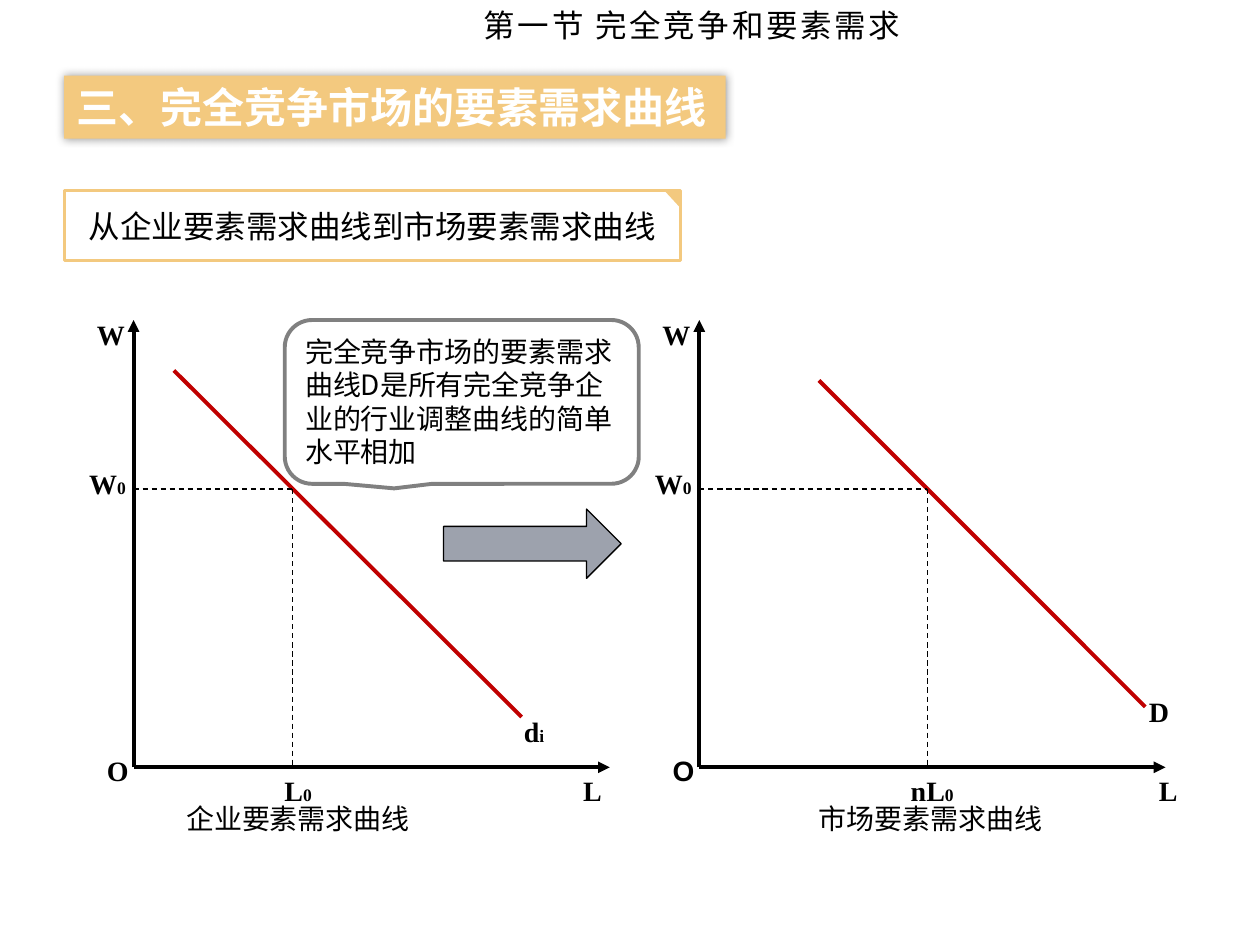
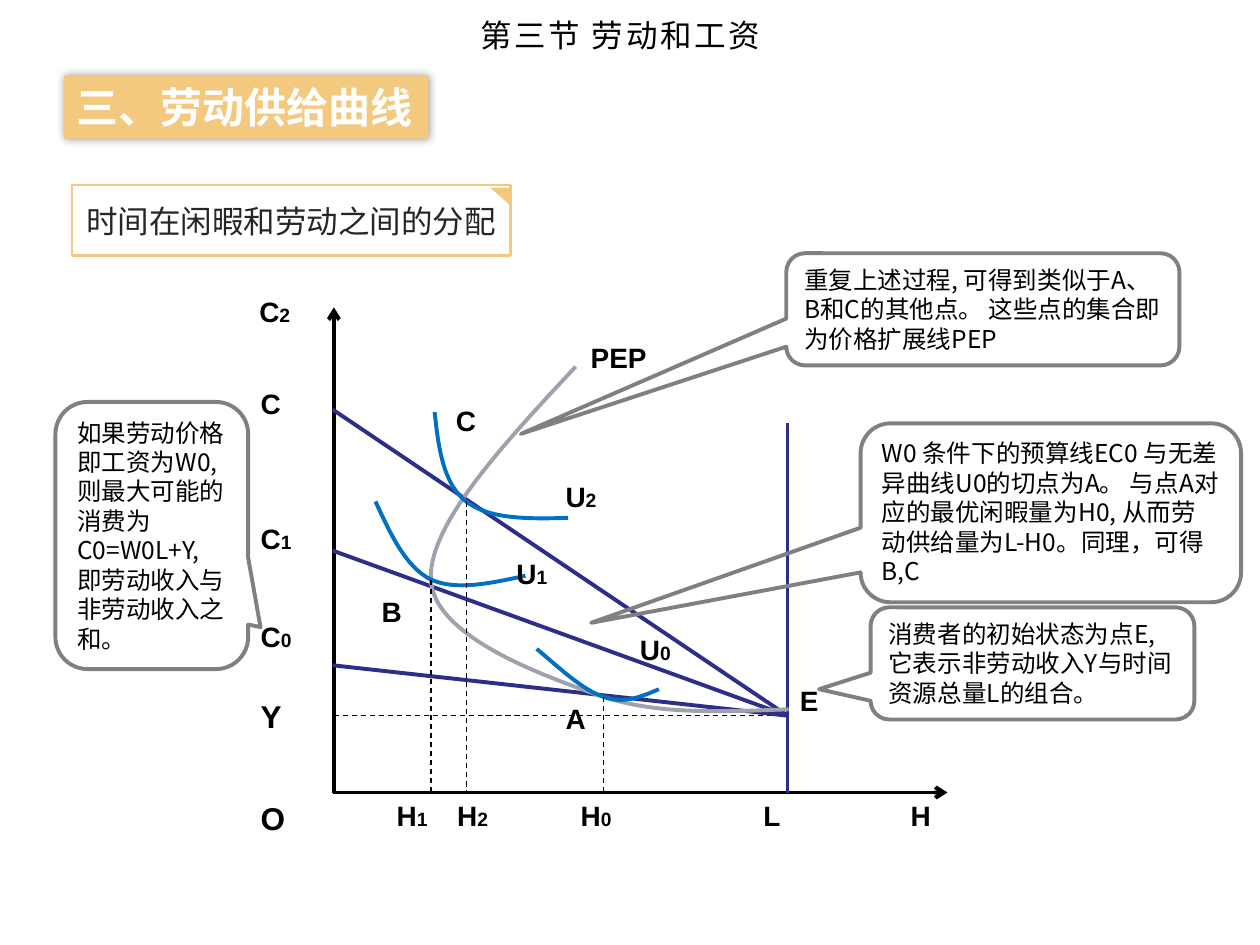
from lxml.etree import SubElement
from pptx import Presentation
from pptx.dml.color import RGBColor
from pptx.enum.dml import MSO_LINE
from pptx.enum.shapes import MSO_CONNECTOR, MSO_SHAPE
from pptx.enum.text import MSO_ANCHOR, PP_ALIGN
from pptx.oxml.ns import qn
from pptx.util import Inches, Pt

HUES = {
    "ink": "000000", "soft": "262626", "white": "FFFFFF", "gold": "F3C97F",
    "edge": "808080", "red": "C00000", "navy": "2D2D8A", "blue": "0070C0",
    "steel": "9DA2AD",
}
HAN, SERIF, SANS = "Noto Sans CJK SC", "Times New Roman", "Arial"


def hue(name):
    """Return the named colour."""
    return RGBColor.from_string(HUES[name])


def write(shape, text, sub="", size=16, low=10, font=HAN, color="ink", bold=False,
          align=PP_ALIGN.LEFT, anchor=MSO_ANCHOR.TOP, wrap=True, inset=None, track=0):
    """Put formatted text, with an optional small index, in a shape."""
    frame = shape.text_frame
    frame.word_wrap, frame.vertical_anchor = wrap, anchor
    if inset is not None:
        frame.margin_left = frame.margin_right = Inches(inset)
        frame.margin_top = frame.margin_bottom = Inches(inset)
    line = frame.paragraphs[0]
    line.alignment = align
    for part, points in ((text, size), (sub, low)):
        if part:
            run = line.add_run()
            run.text = part
            run.font.size, run.font.bold = Pt(points), bold
            run.font.color.rgb = hue(color)
            run.font.name = font
            props = run.font._element
            SubElement(props, qn("a:ea")).set("typeface", font)
            if track:
                props.set("spc", str(round(track * 100)))


def label(slide, x, y, text, sub="", wide=0.9, bold=True, font=SANS, **form):
    """Add a text box with its corner at x, y."""
    box = slide.shapes.add_textbox(*map(Inches, (x, y, wide, 0.37)))
    write(box, text, sub, bold=bold, font=font, **form)


def shape(slide, kind, box, fill=None, line=None, width=1.5):
    """Add a flat preset shape."""
    item = slide.shapes.add_shape(kind, *map(Inches, box))
    item.shadow.inherit = False
    if fill:
        item.fill.solid()
        item.fill.fore_color.rgb = hue(fill)
    else:
        item.fill.background()
    if line:
        item.line.color.rgb = hue(line)
        item.line.width = Pt(width)
    else:
        item.line.fill.background()
    return item


def rule(slide, start, end, color="ink", width=2.25, dash=False, head=None):
    """Draw a straight line, dashed or with an arrowhead."""
    link = slide.shapes.add_connector(MSO_CONNECTOR.STRAIGHT, *map(Inches, start + end))
    link.line.color.rgb = hue(color)
    link.line.width = Pt(0.75 if dash else width)
    if dash:
        link.line.dash_style = MSO_LINE.DASH
    if head:
        SubElement(link.line._get_or_add_ln(), qn("a:tailEnd")).set("type", head)
    SubElement(link._element.spPr, qn("a:effectLst"))


def curve(slide, points, color):
    """Draw a smooth cubic curve through start, control and end points."""
    dots = [(Inches(x), Inches(y)) for x, y in points]
    pen = slide.shapes.build_freeform(*dots[0], scale=1.0)
    pen.add_line_segments(dots[1:], close=False)
    item = pen.convert_to_shape()
    item.shadow.inherit = False
    item.fill.background()
    item.line.color.rgb = hue(color)
    item.line.width = Pt(2.25)
    trace = item._element.find(".//" + qn("a:path"))
    steps = trace.findall(qn("a:lnTo"))
    for i in range(0, len(steps), 3):
        bend = SubElement(trace, qn("a:cubicBezTo"))
        for step in steps[i:i + 3]:
            bend.append(step[0])
            trace.remove(step)


def callout(slide, box, tip, text, size=14):
    """Add a rounded speech bubble pointing at tip."""
    item = shape(slide, MSO_SHAPE.ROUNDED_RECTANGULAR_CALLOUT, box, line="edge", width=2.25)
    for i, value in enumerate((*tip, 0.167)):
        item.adjustments[i] = value
    write(item, text, size=size)


def title(slide, box, text):
    """Fill the title placeholder."""
    head = slide.shapes.title
    head.left, head.top, head.width, head.height = map(Inches, box)
    write(head, text, size=18, anchor=MSO_ANCHOR.MIDDLE, inset=0, track=1.5)


def band(slide, box, text):
    """Add the gold heading band with its soft shadow."""
    item = shape(slide, MSO_SHAPE.RECTANGLE, box, "gold")
    glow = SubElement(item._element.spPr.find(qn("a:effectLst")), qn("a:outerShdw"))
    glow.set("blurRad", str(Pt(5)))
    tone = SubElement(glow, qn("a:srgbClr"))
    tone.set("val", HUES["ink"])
    SubElement(tone, qn("a:alpha")).set("val", "40000")
    write(item, text, size=24, color="white", bold=True, wrap=False)


def note(slide, box, fold, text, color="ink"):
    """Add the framed topic with a folded corner of the given width and drop."""
    x, y, w, h = box
    wide, drop = fold
    item = shape(slide, MSO_SHAPE.RECTANGLE, box, "white", "gold")
    write(item, text, size=18, color=color, align=PP_ALIGN.CENTER,
          anchor=MSO_ANCHOR.MIDDLE, inset=0)
    flap = shape(slide, MSO_SHAPE.RIGHT_TRIANGLE, (x + w - wide, y + drop, wide, 0.14), "gold")
    flap.rotation = 180


def demand(slide, box, start, end, level, names, spots, zero):
    """Draw one demand graph inside its axes box."""
    x, y, w, h = box
    base, mid, high = y + h, x + level, y + 1.34
    rule(slide, (x, base), (x, y), head="triangle")
    rule(slide, (x, base), (x + w, base), head="triangle")
    rule(slide, (x + start[0], y + start[1]), (x + end[0], y + end[1]), "red")
    rule(slide, (x, high), (mid, high), dash=True)
    rule(slide, (mid, high), (mid, base), dash=True)
    label(slide, x - 0.39, y - 0.07, "W", font=SERIF)
    label(slide, x - 0.31, base - 0.16, "O", font=zero)
    label(slide, x - 0.45, y + 1.11, "W", "0", font=SERIF)
    amount, line, index, caption = names
    far, side, tag, foot = spots
    label(slide, x + far, base, "L", font=SERIF)
    label(slide, mid - side, base, amount, "0", font=SERIF)
    label(slide, x + tag[0], y + tag[1], line, index, font=SERIF)
    label(slide, x + foot, base + 0.22, caption, wide=2.01, font=HAN, bold=False, wrap=False)


def market(slide):
    """Build the slide on market demand for a factor."""
    title(slide, (3.84, 0, 5.8, 0.4), "第一节 完全竞争和要素需求")
    callout(slide, (2.26, 2.54, 2.81, 1.3), (-0.191, 0.528),
            "完全竞争市场的要素需求曲线D是所有完全竞争企业的行业调整曲线的简单水平相加", 16)
    demand(slide, (1.06, 2.54, 3.78, 3.55), (0.32, 0.4), (3.08, 3.15), 1.26,
           ("L", "d", "i", "企业要素需求曲线"), (3.47, 0.16, (3, 3.08), 0.32), SERIF)
    demand(slide, (5.55, 2.54, 3.7, 3.55), (0.95, 0.48), (3.54, 3.07), 1.81,
           ("nL", "D", "", "市场要素需求曲线"), (3.55, 0.23, (3.47, 2.92), 0.85), SANS)
    shape(slide, MSO_SHAPE.RIGHT_ARROW, (3.52, 4.04, 1.41, 0.55), "steel", "ink", 0.75)
    band(slide, (0.51, 0.6, 5.25, 0.5), "三、完全竞争市场的要素需求曲线")
    note(slide, (0.51, 1.51, 4.89, 0.56), (0.13, 0), "从企业要素需求曲线到市场要素需求曲线")


def choice(slide, box):
    """Draw the leisure and consumption graph inside its axes box."""
    x, y, w, h = box
    base = y + h

    def at(*dots):
        """Shift points from the axes box to the slide."""
        return [(x + a, y + b) for a, b in dots]

    rule(slide, (x, base), (x, y), head="arrow")
    rule(slide, (x - 0.01, base), (x + w, base), head="arrow")
    limit, floor = x + 3.6, y + 3.24
    rule(slide, (limit, y + 0.92), (limit, base), "navy")
    rule(slide, (x, floor), (limit, floor), dash=True)
    for top in (0.81, 1.93, 2.84):
        rule(slide, (x - 0.01, y + top), (limit, floor), "navy")
    curve(slide, at((1.92, 0.47), (1.33, 1.1), (0.75, 1.73), (0.77, 2.16), (0.79, 2.59),
                    (1.57, 2.89), (2.05, 3.06), (2.52, 3.24), (3.07, 3.21), (3.61, 3.19)), "steel")
    for dots in (
        ((0.8, 0.83), (0.83, 1.12), (0.87, 1.4), (1.05, 1.54), (1.23, 1.68), (1.54, 1.68), (1.86, 1.67)),
        ((0.33, 1.54), (0.45, 1.8), (0.57, 2.06), (0.77, 2.16), (0.97, 2.25), (1.24, 2.19), (1.52, 2.13)),
        ((1.61, 2.71), (1.8, 2.87), (1.98, 3.04), (2.14, 3.09), (2.3, 3.15), (2.44, 3.09), (2.58, 3.03)),
    ):
        curve(slide, at(*dots), "blue")
    for a, b in at((2.14, 3.09), (1.05, 1.54), (0.77, 2.16)):
        rule(slide, (a, b), (a, base), dash=True)
    for a, b, text, sub in (
        (-0.69, -0.15, "C", "2"), (-0.68, 0.58, "C", ""), (-0.68, 1.65, "C", "1"),
        (-0.68, 2.43, "C", "0"), (0.4, h, "H", "1"), (0.88, h, "H", "2"),
        (1.86, h, "H", "0"), (3.31, h, "L", ""), (4.48, h, "H", ""),
        (3.6, 2.94, "E", ""), (1.74, 3.08, "A", ""), (0.28, 2.23, "B", ""),
        (0.87, 0.71, "C", ""), (1.94, 0.21, "PEP", ""), (1.74, 1.32, "U", "2"),
        (1.35, 1.93, "U", "1"), (2.33, 2.53, "U", "0"),
    ):
        label(slide, x + a, y + b, text, sub, low=11)
    for b, text in ((3.04, "Y"), (h, "O")):
        label(slide, x - 0.68, y + b, text, size=18)


def labour(slide):
    """Build the slide on the labour supply curve."""
    title(slide, (3.81, 0.08, 5.8, 0.4), "第三节 劳动和工资")
    choice(slide, (2.65, 2.44, 4.87, 3.85))
    for box, tip, text in (
        ((6.83, 3.36, 3.02, 1.42), (-1.208, 0.615),
         "W0 条件下的预算线EC0 与无差异曲线U0的切点为A。 与点A对应的最优闲暇量为H0, "
         "从而劳动供给量为L-H0。同理，可得B,C"),
        ((6.91, 4.82, 2.57, 0.89), (-0.659, 0.23),
         "消费者的初始状态为点E, 它表示非劳动收入Y与时间资源总量L的组合。"),
        ((0.44, 3.19, 1.53, 2.12), (0.564, 0.343),
         "如果劳动价格即工资为W0, 则最大可能的消费为C0=W0L+Y, 即劳动收入与非劳动收入之和。"),
        ((6.24, 2.01, 3.12, 0.89), (-1.175, 1.111),
         "重复上述过程, 可得到类似于A、 B和C的其他点。 这些点的集合即为价格扩展线PEP"),
    ):
        callout(slide, box, tip, text)
    band(slide, (0.51, 0.6, 2.89, 0.5), "三、劳动供给曲线")
    note(slide, (0.57, 1.47, 3.48, 0.56), (0.16, 0.02), "时间在闲暇和劳动之间的分配", "soft")


def main():
    """Build and save both slides."""
    deck = Presentation()
    deck.slide_width, deck.slide_height = Inches(10), Inches(7.5)
    for build in (market, labour):
        build(deck.slides.add_slide(deck.slide_layouts[5]))
    deck.save("out.pptx")


if __name__ == "__main__":
    main()
